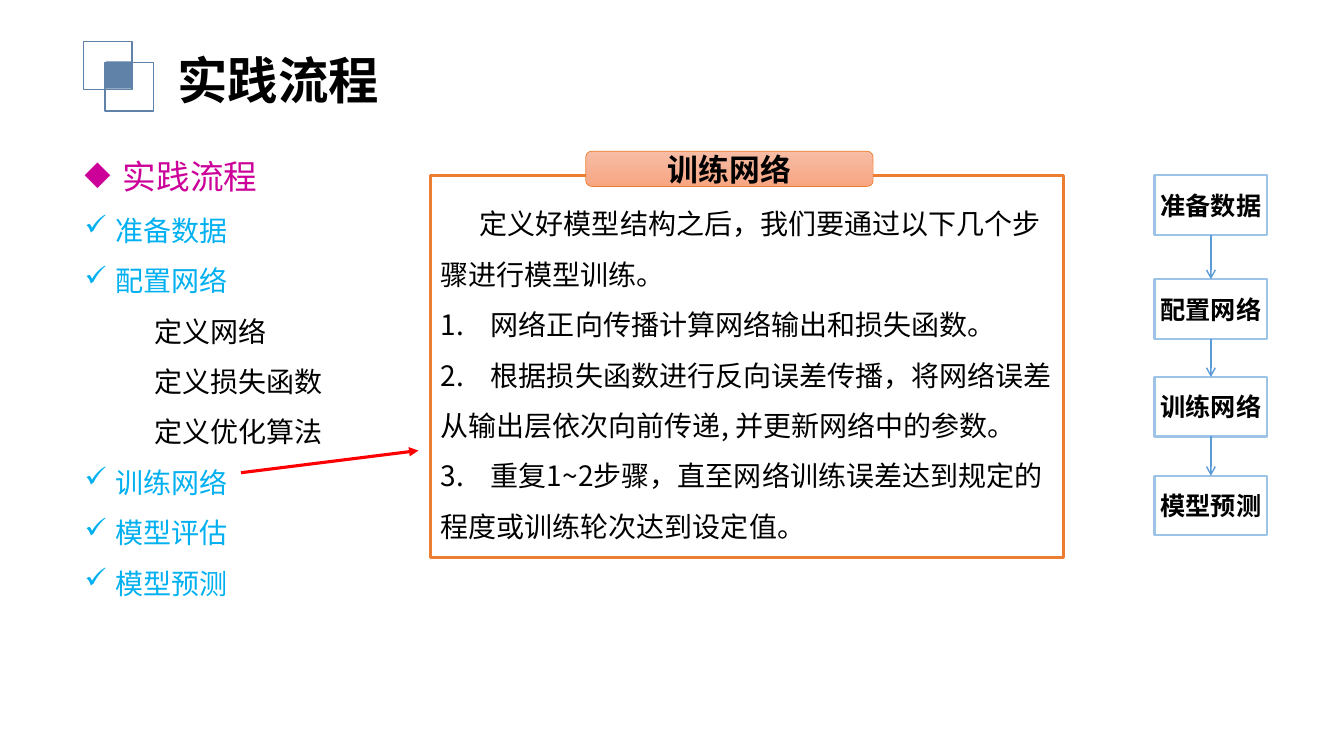
from lxml.etree import SubElement
from pptx import Presentation
from pptx.dml.color import RGBColor
from pptx.enum.shapes import MSO_CONNECTOR, MSO_SHAPE
from pptx.enum.text import MSO_ANCHOR, PP_ALIGN
from pptx.oxml.ns import qn
from pptx.util import Emu, Pt

SANS = "Noto Sans CJK SC"
BLACK, BLUE, ORANGE = "000000", "6082A9", "ED7D31"


def px(n):
    """Lengths are given at 100 px to the inch."""
    return Emu(n * 9144)


def rgb(code):
    return RGBColor.from_string(code)


def add_text(tf, text, size=20, color=BLACK, bold=False, font=SANS,
             align=PP_ALIGN.LEFT, spacing=None, left=0, first=0, bullet=None, tab=None):
    """Add a paragraph, using the empty first one if there is one."""
    p = tf.paragraphs[0]
    if p.runs:
        p = tf.add_paragraph()
    p.alignment = align
    if spacing:
        p.line_spacing = spacing
    pPr = p._p.get_or_add_pPr()
    pPr.set("marL", str(px(left)))
    pPr.set("indent", str(px(first)))
    if bullet:
        SubElement(pPr, qn("a:buChar"), char=bullet)
    if tab:
        tabs = SubElement(pPr, qn("a:tabLst"))
        SubElement(tabs, qn("a:tab"), pos=str(px(tab)), algn="l")
    r = p.add_run()
    r.text = text
    r.font.size, r.font.bold, r.font.name = Pt(size), bold, font
    r.font.color.rgb = rgb(color)
    SubElement(r._r.get_or_add_rPr(), qn("a:ea"), typeface=font)


def add_box(s, x, y, w, h, fill=None, line=None, width=1, kind=MSO_SHAPE.RECTANGLE):
    sp = s.shapes.add_shape(kind, px(x), px(y), px(w), px(h))
    sp.shadow.inherit = False
    if fill:
        sp.fill.solid()
        sp.fill.fore_color.rgb = rgb(fill)
    else:
        sp.fill.background()
    if line:
        sp.line.color.rgb = rgb(line)
        sp.line.width = Pt(width)
    else:
        sp.line.fill.background()
    sp.text_frame.word_wrap = True
    sp.text_frame.vertical_anchor = MSO_ANCHOR.MIDDLE
    return sp


def add_text_box(s, x, y, w, h):
    tf = s.shapes.add_textbox(px(x), px(y), px(w), px(h)).text_frame
    tf.word_wrap = True
    return tf


def add_arrow(s, x1, y1, x2, y2, color, width, head):
    c = s.shapes.add_connector(MSO_CONNECTOR.STRAIGHT, px(x1), px(y1), px(x2), px(y2))
    c.line.color.rgb = rgb(color)
    c.line.width = Pt(width)
    SubElement(c.line._get_or_add_ln(), qn("a:tailEnd"), type=head)
    SubElement(c._element.spPr, qn("a:effectLst"))


def heading(s, x, y):
    for shift in (0, 21):
        add_box(s, x + shift, y + shift, 48, 48, line=BLUE)
    add_box(s, x + 22, y + 20, 25, 27, fill=BLUE)
    add_text(add_text_box(s, x + 83, y + 3, 415, 71), "实践流程", size=36, bold=True)


def outline(s, x, y, w, h):
    tf = add_text_box(s, x, y, w, h)
    add_text(tf, "实践流程", size=24, color="CC0099", left=38, first=-38, bullet="◆")
    steps = [
        ("准备数据", []),
        ("配置网络", ["定义网络", "定义损失函数", "定义优化算法"]),
        ("训练网络", []),
        ("模型评估", []),
        ("模型预测", []),
    ]
    for step, details in steps:
        add_text(tf, step, color="00B0F0", spacing=1.5, left=31, first=-31, bullet="✓")
        for detail in details:
            add_text(tf, detail, spacing=1.5, left=69)


def training_panel(s, x, y, w, h):
    tf = add_box(s, x, y, w, h, fill="FFFFFF", line=ORANGE, width=2.25).text_frame
    add_text(tf, "定义好模型结构之后，我们要通过以下几个步骤进行模型训练。", spacing=1.5, first=39)
    for item in (
        "1.\t网络正向传播计算网络输出和损失函数。",
        "2.\t根据损失函数进行反向误差传播，将网络误差从输出层依次向前传递, 并更新网络中的参数。",
        "3.\t重复1~2步骤，直至网络训练误差达到规定的程度或训练轮次达到设定值。",
    ):
        add_text(tf, item, spacing=1.5, tab=43)

    tag = add_box(s, x + 154, y - 24, 285, 35, line=ORANGE, width=0.5,
                  kind=MSO_SHAPE.ROUNDED_RECTANGLE)
    tag.fill.gradient()
    tag.fill.gradient_angle = 270
    for stop, color, position in zip(tag.fill.gradient_stops, ("F7BDA5", "F8A582"), (0, 1)):
        stop.color.rgb = rgb(color)
        stop.position = position
    add_text(tag.text_frame, "训练网络", size=22, bold=True, align=PP_ALIGN.CENTER)


def flow(s, x, y, w, h):
    """Stack the steps in boxes of w by h, joined by arrows."""
    steps = ["准备数据", "配置网络", "训练网络", "模型预测"]
    tops = [y + drop for drop in (0, 103, 200, 298)]
    for step, top in zip(steps, tops):
        tf = add_box(s, x, top, w, h, line="9DC3E6", width=1.5).text_frame
        tf.margin_left = tf.margin_right = 0
        tf.word_wrap = False
        add_text(tf, step, size=18, bold=True, font="Calibri", align=PP_ALIGN.CENTER)
    mid = x + w // 2
    for top, following in zip(tops, tops[1:]):
        add_arrow(s, mid, top + h, mid, following, "5B9BD5", 1, "arrow")


def main():
    prs = Presentation()
    prs.slide_width, prs.slide_height = px(1333), px(750)
    s = prs.slides.add_slide(prs.slide_layouts[6])
    heading(s, 83, 41)
    outline(s, 74, 150, 397, 454)
    training_panel(s, 427, 174, 628, 379)
    add_arrow(s, 239, 469, 415, 447, "FF0000", 2.25, "triangle")
    flow(s, 1145, 174, 112, 59)
    prs.save("out.pptx")


if __name__ == "__main__":
    main()
